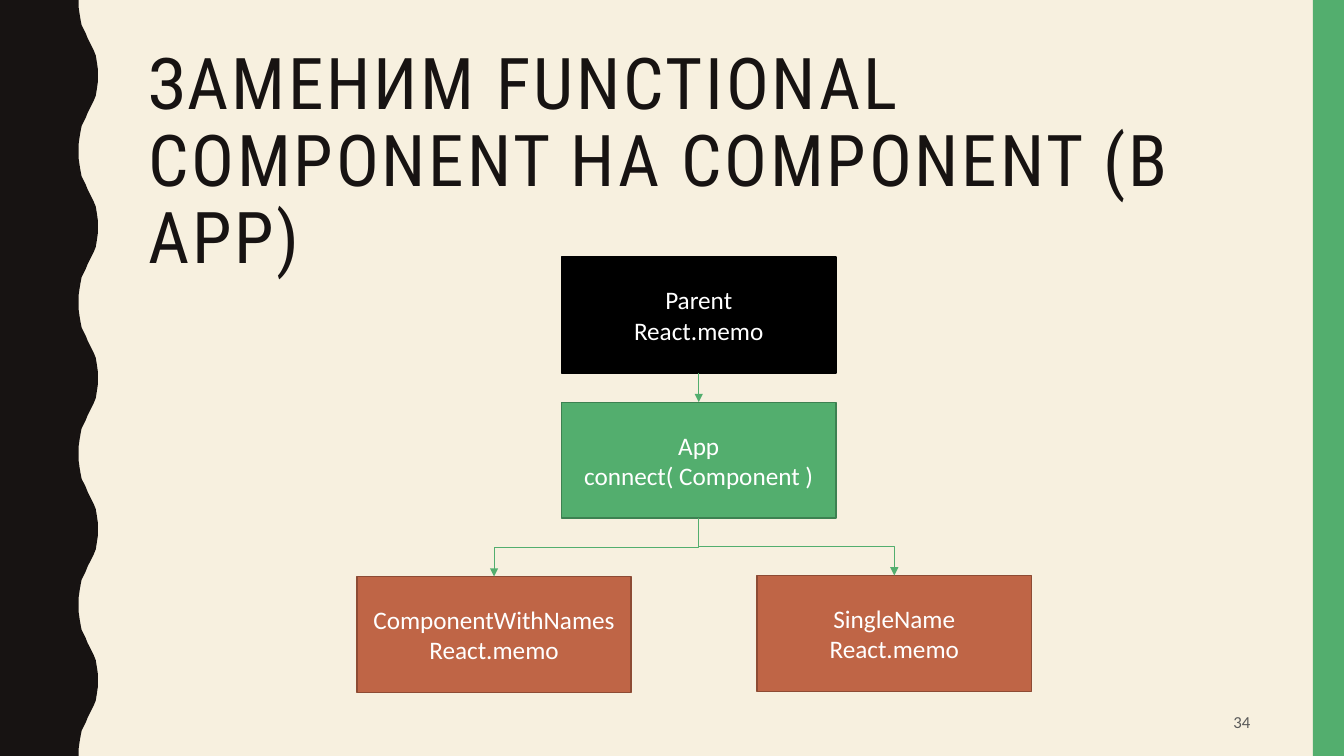
from lxml.etree import SubElement
from pptx import Presentation
from pptx.dml.color import RGBColor
from pptx.enum.shapes import MSO_CONNECTOR, MSO_SHAPE
from pptx.enum.text import MSO_ANCHOR, MSO_AUTO_SIZE, PP_ALIGN
from pptx.oxml.ns import qn
from pptx.util import Pt

PX = 9144  # 100 px to the inch
WIDE, HIGH = 1333, 750
BOX_W, BOX_H = 272, 115
COLORS = {
    "cream": "F7F0DF", "ink": "171312", "green": "53AE6E", "moss": "3D8151",
    "rust": "BF6546", "brown": "8D4B34", "black": "000000",
    "white": "FFFFFF", "gray": "595959",
}
TITLE = {"name": "Roboto Condensed", "size": Pt(51)}
LABEL = {"name": "Calibri", "size": Pt(18)}
NUMBER = {"name": "Calibri", "size": Pt(12)}
# Half a wave, as (x, y); the other half mirrors it
CURVE = [(78, 0), (78, 7), (79, 14), (80, 20), (81, 25), (83, 29), (85, 33),
         (87, 38), (89, 42), (91, 46), (93, 50), (95, 55), (96, 61),
         (97, 68), (97, 75)]
WAVE = 150


def color(name):
    return RGBColor.from_string(COLORS[name])


def paint(shape, fill, line=None):
    shape.shadow.inherit = False
    shape.fill.solid()
    shape.fill.fore_color.rgb = color(fill)
    if line:
        shape.line.color.rgb = color(line)
        shape.line.width = Pt(1)
    else:
        shape.line.fill.background()


def place(shape, *spot):
    for key, size in zip(("left", "top", "width", "height"), spot):
        setattr(shape, key, size * PX)


def write(shape, lines, look, tint, align, anchor):
    frame = shape.text_frame
    frame.text = "\n".join(lines)
    form = {"word_wrap": True, "auto_size": MSO_AUTO_SIZE.NONE,
            "vertical_anchor": anchor}
    for key, value in form.items():
        setattr(frame, key, value)
    for para in frame.paragraphs:
        para.alignment = align
        for run in para.runs:
            for key, value in look.items():
                setattr(run.font, key, value)
            run.font.color.rgb = color(tint)


def add_rect(slide, spot, fill, line=None):
    rect = slide.shapes.add_shape(MSO_SHAPE.RECTANGLE, *(n * PX for n in spot))
    paint(rect, fill, line)
    return rect


def add_box(slide, left, top, lines, fill, line):
    box = add_rect(slide, (left, top, BOX_W, BOX_H), fill, line)
    write(box, lines, LABEL, "white", PP_ALIGN.CENTER, MSO_ANCHOR.MIDDLE)
    return box


def add_edge(slide):
    """Draw the wavy band down the left side."""
    half = CURVE + [(x, WAVE - y) for x, y in CURVE[-2:0:-1]]
    points = [(x, y + start) for start in range(0, HIGH, WAVE)
              for x, y in half]
    points += [(78, HIGH), (0, HIGH)]
    build = slide.shapes.build_freeform(0, 0, scale=PX)
    build.add_line_segments(points, close=True)
    paint(build.convert_to_shape(), "ink")


def add_arrow(slide, upper, lower):
    """Join two boxes, with a turned elbow where they are not in line."""
    x1, y1 = upper.left + upper.width // 2, upper.top + upper.height
    x2, y2 = lower.left + lower.width // 2, lower.top
    kind, ends, turn = MSO_CONNECTOR.STRAIGHT, (x1, y1, x2, y2), 0
    if x1 != x2:
        kind = MSO_CONNECTOR.ELBOW
        midx, midy = (x1 + x2) // 2, (y1 + y2) // 2
        side = 1 if x2 > x1 else -1
        dx, dy = abs(x2 - x1) // 2, side * (y2 - y1) // 2
        ends = (midx + dy, midy - dx, midx - dy, midy + dx)
        turn = 270 if side > 0 else 90
    arrow = slide.shapes.add_connector(kind, *ends)
    arrow.line.color.rgb = color("green")
    arrow.line.width = Pt(0.5)
    props = arrow._element.spPr
    if turn:
        props.find(qn("a:xfrm")).set("rot", str(turn * 60000))
    SubElement(props.find(qn("a:ln")), qn("a:tailEnd"), type="triangle")
    SubElement(props, qn("a:effectLst"))


def add_title(slide, text):
    title = slide.shapes.title
    place(title, 137, 42, 1113, 163)
    write(title, [text], TITLE, "ink", PP_ALIGN.LEFT, MSO_ANCHOR.TOP)
    para = title.text_frame.paragraphs[0]
    para.line_spacing = 0.9
    para.runs[0].font._element.set("spc", "200")


def add_number(slide, text):
    box = slide.shapes.add_textbox(*(n * PX for n in (942, 697, 308, 38)))
    write(box, [text], NUMBER, "gray", PP_ALIGN.RIGHT, MSO_ANCHOR.MIDDLE)


def main():
    deck = Presentation()
    deck.slide_width, deck.slide_height = WIDE * PX, HIGH * PX
    slide = deck.slides.add_slide(deck.slide_layouts[5])
    slide.background.fill.solid()
    slide.background.fill.fore_color.rgb = color("cream")
    add_edge(slide)
    add_rect(slide, (1302, 0, 31, HIGH), "green")
    add_title(slide, "ЗАМЕНИМ FUNCTIONAL COMPONENT НА COMPONENT (В APP)")

    memo = "React.memo"
    app = add_box(slide, 557, 399, ["App", "connect( Component )"],
                  "green", "moss")
    names = add_box(slide, 354, 572, ["ComponentWithNames", memo],
                    "rust", "brown")
    single = add_box(slide, 751, 571, ["SingleName", memo], "rust", "brown")
    parent = add_box(slide, 557, 255, ["Parent", memo], "black", "black")
    for upper, lower in ((app, single), (app, names), (parent, app)):
        add_arrow(slide, upper, lower)
    add_number(slide, "34")
    deck.save("out.pptx")


if __name__ == "__main__":
    main()
